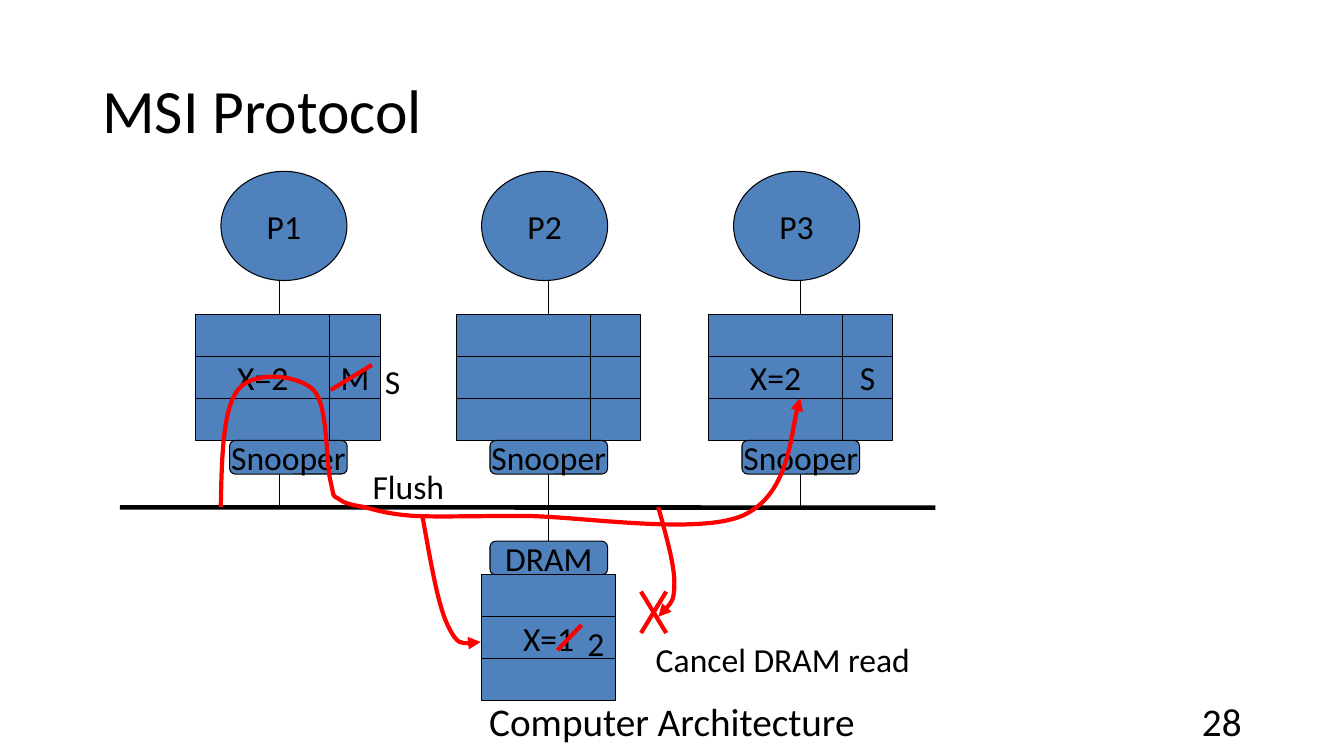
from lxml import etree
from pptx import Presentation
from pptx.dml.color import RGBColor
from pptx.enum.shapes import MSO_CONNECTOR, MSO_SHAPE
from pptx.enum.text import MSO_ANCHOR, MSO_AUTO_SIZE, PP_ALIGN
from pptx.oxml.ns import qn
from pptx.util import Pt

RECT, OVAL, ROUNDED = MSO_SHAPE.RECTANGLE, MSO_SHAPE.OVAL, MSO_SHAPE.ROUNDED_RECTANGLE
STRAIGHT = MSO_CONNECTOR.STRAIGHT
LEFT, CENTER, RIGHT = PP_ALIGN.LEFT, PP_ALIGN.CENTER, PP_ALIGN.RIGHT
TOP, MIDDLE = MSO_ANCHOR.TOP, MSO_ANCHOR.MIDDLE
FIT_TEXT = MSO_AUTO_SIZE.SHAPE_TO_FIT_TEXT

FONT = "Calibri"
BLACK, RED, BLUE = "000000", "FF0000", "4F81BD"
THIN, RED_WIDTH, BUS_WIDTH = 0.74, 3, 3.26

DATA_WIDTH, STATE_WIDTH, ROW_HEIGHT = 95.8, 36, 30
UNIT_WIDTH, UNIT_HEIGHT = 84, 24
CPU_TOP, CPU_WIDTH, CPU_HEIGHT = 122.4, 90, 78
CACHE_TOP = 224.6
SNOOPER_TOP = CACHE_TOP + 3 * ROW_HEIGHT
BUS_Y = 362.4
DRAM_TOP, DRAM_LEFT = 386.6, 344

# name, cache left, snooper left, wire x, cached data, coherence state
PROCESSORS = [
    ("P1", 139.8, 164, 200, "X=2", "M"),
    ("P2", 326, 350, 391.7, "", ""),
    ("P3", 506, 530, 571.7, "X=2", "S"),
]

# Each curve: a start point, then two control points and an end point per arc
FLUSH_TO_P3 = [
    (157.7, 362.2),
    (158.4, 327.6), (159.1, 292.3), (169.9, 278.6),
    (180.7, 264.2), (213.1, 267.8), (223.9, 278.6),
    (234.7, 289.4), (232.6, 331.2), (236.2, 344.2),
    (239, 357.1), (237.6, 353.5), (241.9, 356.4),
    (245.5, 359.3), (250.6, 360.7), (259.9, 362.2),
    (268.6, 364.3), (276.5, 367.2), (295.9, 368.6),
    (314.6, 369.4), (334.8, 368.6), (373.7, 368.6),
    (412.6, 368.6), (496.8, 382.3), (529.9, 368.6),
    (563, 354.2), (565.9, 298.8), (571.7, 284.4),
]
FLUSH_TO_DRAM = [
    (301.7, 368.6),
    (307.4, 399.6), (312.5, 431.3), (319.7, 446.4),
    (326.9, 461.5), (335.5, 460.1), (343.4, 458.6),
]
CANCELLED_READ = [
    (470.2, 362.2),
    (475.9, 383), (481.7, 403.2), (481.7, 416.2),
    (481.7, 429.8), (475.9, 434.9), (470.2, 440.6),
]


def color(hex_value):
    """Turn a hex string into a colour."""
    return RGBColor.from_string(hex_value)


def set_line(line, hex_value, width):
    """Give an outline its colour and width."""
    line.color.rgb = color(hex_value)
    line.width = Pt(width)


def write(frame, text, size, align, anchor, wrap):
    """Fill a text frame with one black paragraph."""
    frame.word_wrap = wrap
    frame.vertical_anchor = anchor
    paragraph = frame.paragraphs[0]
    paragraph.text = text
    paragraph.alignment = align
    paragraph.font.name = FONT
    paragraph.font.size = Pt(size)
    paragraph.font.color.rgb = color(BLACK)
    return paragraph


def add_block(slide, kind, left, top, width, height, text=""):
    """Add a blue outlined shape, labelled if there is text."""
    block = slide.shapes.add_shape(kind, Pt(left), Pt(top), Pt(width), Pt(height))
    block.shadow.inherit = False
    block.fill.solid()
    block.fill.fore_color.rgb = color(BLUE)
    set_line(block.line, BLACK, THIN)
    if text:
        write(block.text_frame, text, 24, CENTER, MIDDLE, False)


def add_heading(slide, text, left, top, width, height, size, align):
    """Add a wrapped, vertically centred text box."""
    box = slide.shapes.add_textbox(Pt(left), Pt(top), Pt(width), Pt(height))
    return write(box.text_frame, text, size, align, MIDDLE, True)


def add_note(slide, text, left, top, width):
    """Add a diagram label that fits its text."""
    box = slide.shapes.add_textbox(Pt(left), Pt(top), Pt(width), Pt(36.4))
    write(box.text_frame, text, 24, LEFT, TOP, False)
    box.text_frame.auto_size = FIT_TEXT


def add_line(slide, start, end, hex_value=BLACK, width=THIN):
    """Add a straight line without shadow."""
    line = slide.shapes.add_connector(STRAIGHT, *map(Pt, start + end))
    set_line(line.line, hex_value, width)
    etree.SubElement(line._element.spPr, qn("a:effectLst"))


def bend(outline):
    """Join every three straight segments of an outline into one cubic arc."""
    segments = list(outline.iter(qn("a:lnTo")))
    for first in range(0, len(segments), 3):
        arc = etree.Element(qn("a:cubicBezTo"))
        segments[first].addprevious(arc)
        for segment in segments[first:first + 3]:
            arc.append(segment[0])
            segment.getparent().remove(segment)


def add_curved_arrow(slide, points):
    """Add a red curve with an arrowhead at its end."""
    start, *rest = [(Pt(x), Pt(y)) for x, y in points]
    builder = slide.shapes.build_freeform(*start)
    builder.add_line_segments(rest, close=False)
    arrow = builder.convert_to_shape()
    bend(arrow._element)
    arrow.shadow.inherit = False
    arrow.fill.background()
    set_line(arrow.line, RED, RED_WIDTH)
    stroke = arrow._element.spPr.find(qn("a:ln"))
    etree.SubElement(stroke, qn("a:round"))
    etree.SubElement(stroke, qn("a:tailEnd"), type="triangle")


def add_processor(slide, name, cache_left, snooper_left, wire_x, data, state):
    """Add a processor, its cache, its snooper and the wires to the bus."""
    add_block(slide, OVAL, cache_left + 18, CPU_TOP, CPU_WIDTH, CPU_HEIGHT, name)
    add_line(slide, (wire_x, CPU_TOP + CPU_HEIGHT), (wire_x, CACHE_TOP))
    for row, (value, flag) in enumerate([("", ""), (data, state), ("", "")]):
        top = CACHE_TOP + row * ROW_HEIGHT
        add_block(slide, RECT, cache_left, top, DATA_WIDTH, ROW_HEIGHT, value)
        add_block(slide, RECT, cache_left + DATA_WIDTH, top, STATE_WIDTH, ROW_HEIGHT, flag)
    add_block(slide, ROUNDED, snooper_left, SNOOPER_TOP, UNIT_WIDTH, UNIT_HEIGHT, "Snooper")
    add_line(slide, (wire_x, SNOOPER_TOP + UNIT_HEIGHT), (wire_x, BUS_Y))


def add_dram(slide):
    """Add the memory below the bus."""
    _, _, unit_left, wire_x, _, _ = PROCESSORS[1]
    add_line(slide, (wire_x, BUS_Y), (wire_x, DRAM_TOP))
    add_block(slide, ROUNDED, unit_left, DRAM_TOP, UNIT_WIDTH, UNIT_HEIGHT, "DRAM")
    for row, value in enumerate(["", "X=1", ""]):
        top = DRAM_TOP + UNIT_HEIGHT + row * ROW_HEIGHT
        add_block(slide, RECT, DRAM_LEFT, top, DATA_WIDTH, ROW_HEIGHT, value)


def main():
    """Build and save the slide."""
    deck = Presentation()
    deck.slide_width, deck.slide_height = Pt(960), Pt(540)
    slide = deck.slides.add_slide(deck.slide_layouts[6])

    add_heading(slide, "Computer Architecture", 318, 500.4, 324, 28.8, 28, CENTER)
    add_heading(slide, "28", 678, 500.4, 216, 28.8, 28, RIGHT)

    add_line(slide, (85.7, BUS_Y), (668.2, BUS_Y + 0.2), BLACK, BUS_WIDTH)
    for processor in PROCESSORS:
        add_processor(slide, *processor)
    add_dram(slide)

    for curve in (CANCELLED_READ, FLUSH_TO_DRAM, FLUSH_TO_P3):
        add_curved_arrow(slide, curve)
    strokes = [
        ((475.9, 422.6), (457.9, 452.2)),
        ((457.9, 422.6), (475.9, 452.2)),
        ((398.2, 464.4), (415.4, 446.4)),
        ((236.2, 278.6), (265.7, 260.6)),
    ]
    for start, end in strokes:
        add_line(slide, start, end, RED, RED_WIDTH)

    add_note(slide, "2", 412.4, 441.7, 29.5)
    add_note(slide, "S", 267.8, 254.5, 29.5)
    add_note(slide, "Cancel DRAM read", 461.3, 452.5, 198)
    add_note(slide, "Flush", 259, 329, 77.8)

    title = add_heading(slide, "MSI Protocol", 66, 28.8, 828, 104.4, 44, LEFT)
    title.line_spacing = 0.9
    deck.save("out.pptx")


main()
